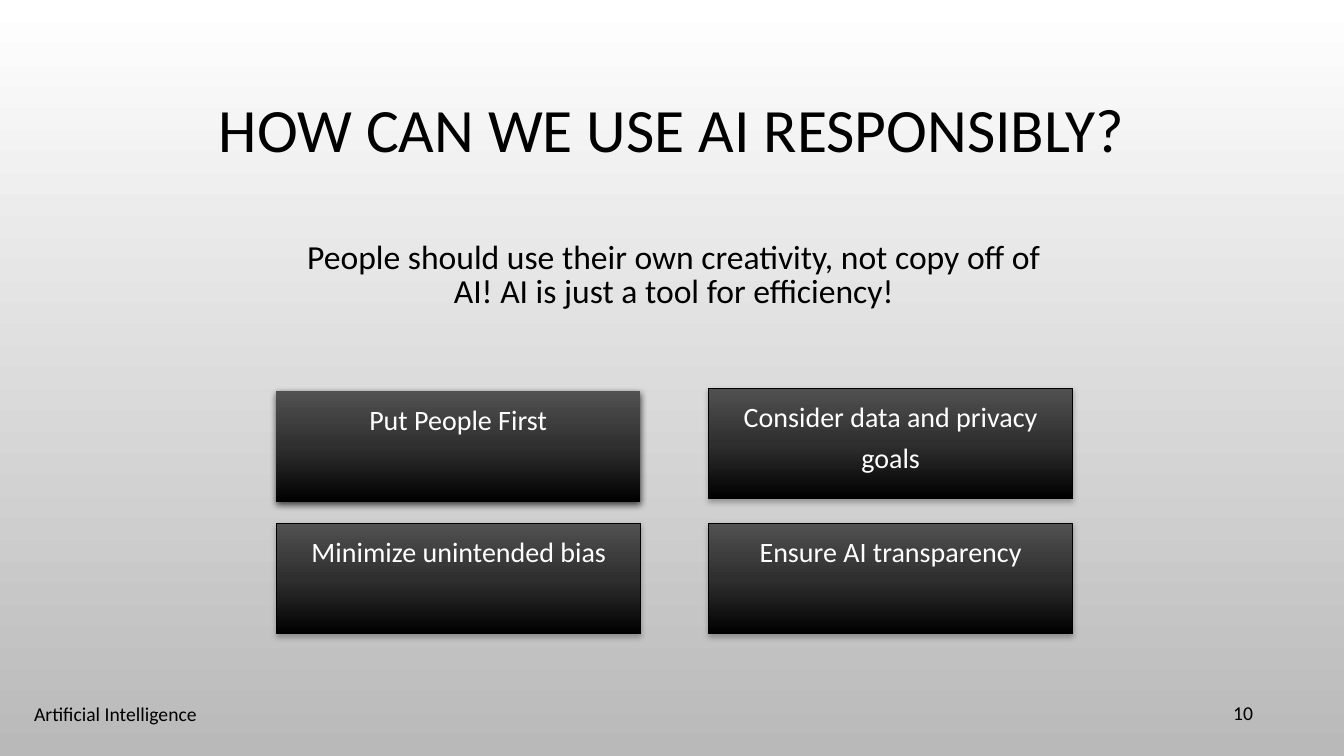
import copy

import lxml.etree
import pptx
import pptx.dml.color
import pptx.enum.shapes
import pptx.enum.text
import pptx.oxml.ns
import pptx.util

Pt = pptx.util.Pt
qn = pptx.oxml.ns.qn
ALIGN = pptx.enum.text.PP_ALIGN
ANCHOR = pptx.enum.text.MSO_ANCHOR


def colour(value):
    return pptx.dml.color.RGBColor.from_string(value)


def write(frame, text, font="Calibri", size=14, ink="000000", align=ALIGN.LEFT,
          anchor=ANCHOR.MIDDLE, spacing=1.0, before=0):
    frame.word_wrap = True
    frame.auto_size = pptx.enum.text.MSO_AUTO_SIZE.NONE
    frame.vertical_anchor = anchor
    paragraph = frame.paragraphs[0]
    paragraph.alignment = align
    paragraph.line_spacing = spacing
    paragraph.space_before = Pt(before)
    run = paragraph.add_run()
    run.text = text
    run.font.name = font
    run.font.size = Pt(size)
    run.font.color.rgb = colour(ink)


class ResponsibleSlide:
    backdrop = ("FFFFFF", "B9B9B9")
    card_shades = ("515151", "2F2F2F", "000000")
    card_size = (260, 79.2)

    def __init__(self, deck):
        self.slide = deck.slides.add_slide(deck.slide_layouts[5])
        fill = self.slide.background.fill
        fill.gradient()
        self.shade(fill, self.backdrop)

    def shade(self, fill, shades):
        fill.gradient_angle = 270
        for index, (stop, value) in enumerate(zip(fill.gradient_stops, shades)):
            stop.position = index / (len(shades) - 1)
            stop.color.rgb = colour(value)

    def title(self, text, left, top, width, height):
        heading = self.slide.shapes.title
        heading.left, heading.top = Pt(left), Pt(top)
        heading.width, heading.height = Pt(width), Pt(height)
        write(heading.text_frame, text, size=44, align=ALIGN.CENTER, spacing=0.9)

    def text(self, text, left, top, width, height, **style):
        area = self.slide.shapes.add_textbox(Pt(left), Pt(top), Pt(width), Pt(height))
        write(area.text_frame, text, **style)

    def card(self, text, left, top, outlined=True, blur=4, opacity=28):
        width, height = self.card_size
        card = self.slide.shapes.add_shape(
            pptx.enum.shapes.MSO_SHAPE.RECTANGLE, Pt(left), Pt(top), Pt(width), Pt(height))
        card.fill.gradient()
        stops = card._element.spPr.find(".//" + qn("a:gsLst"))
        stops.insert(1, copy.deepcopy(stops[0]))
        self.shade(card.fill, self.card_shades)
        if outlined:
            card.line.color.rgb = colour("000000")
            card.line.width = Pt(0.75)
        else:
            card.line.fill.background()
        self.cast_shadow(card, blur, opacity)
        write(card.text_frame, text, size=20, ink="FFFFFF", align=ALIGN.CENTER,
              anchor=ANCHOR.TOP, spacing=1.2, before=10)

    def cast_shadow(self, card, blur, opacity):
        card.shadow.inherit = False
        effects = card._element.spPr.find(qn("a:effectLst"))
        shadow = lxml.etree.SubElement(
            effects, qn("a:outerShdw"), blurRad=str(Pt(blur)), dist=str(Pt(2)),
            dir="5400000", rotWithShape="0")
        tint = lxml.etree.SubElement(shadow, qn("a:srgbClr"), val="000000")
        lxml.etree.SubElement(tint, qn("a:alpha"), val=str(opacity * 1000))


def main():
    deck = pptx.Presentation()
    deck.slide_width, deck.slide_height = Pt(960), Pt(540)
    page = ResponsibleSlide(deck)
    page.title("HOW CAN WE USE AI RESPONSIBLY?", 72, 48.2, 816, 93.6)
    page.text("People should use their own creativity, not copy off of AI! "
              "AI is just a tool for efficiency!", 198, 158.4, 566.6, 67,
              size=24, align=ALIGN.CENTER, anchor=ANCHOR.BOTTOM, spacing=0.85, before=10)
    page.card("Put People First", 197.3, 279.4, outlined=False, blur=5, opacity=69)
    page.card("Consider data and privacy goals", 506.2, 277.2)
    page.card("Minimize unintended bias", 197.8, 373.7)
    page.card("Ensure AI transparency", 506.2, 373.7)
    page.text("Artificial Intelligence", 17.3, 495.4, 525.6, 28.8)
    page.text("10", 841.7, 494.6, 60.5, 28.8, align=ALIGN.RIGHT)
    deck.save("out.pptx")


if __name__ == "__main__":
    main()
